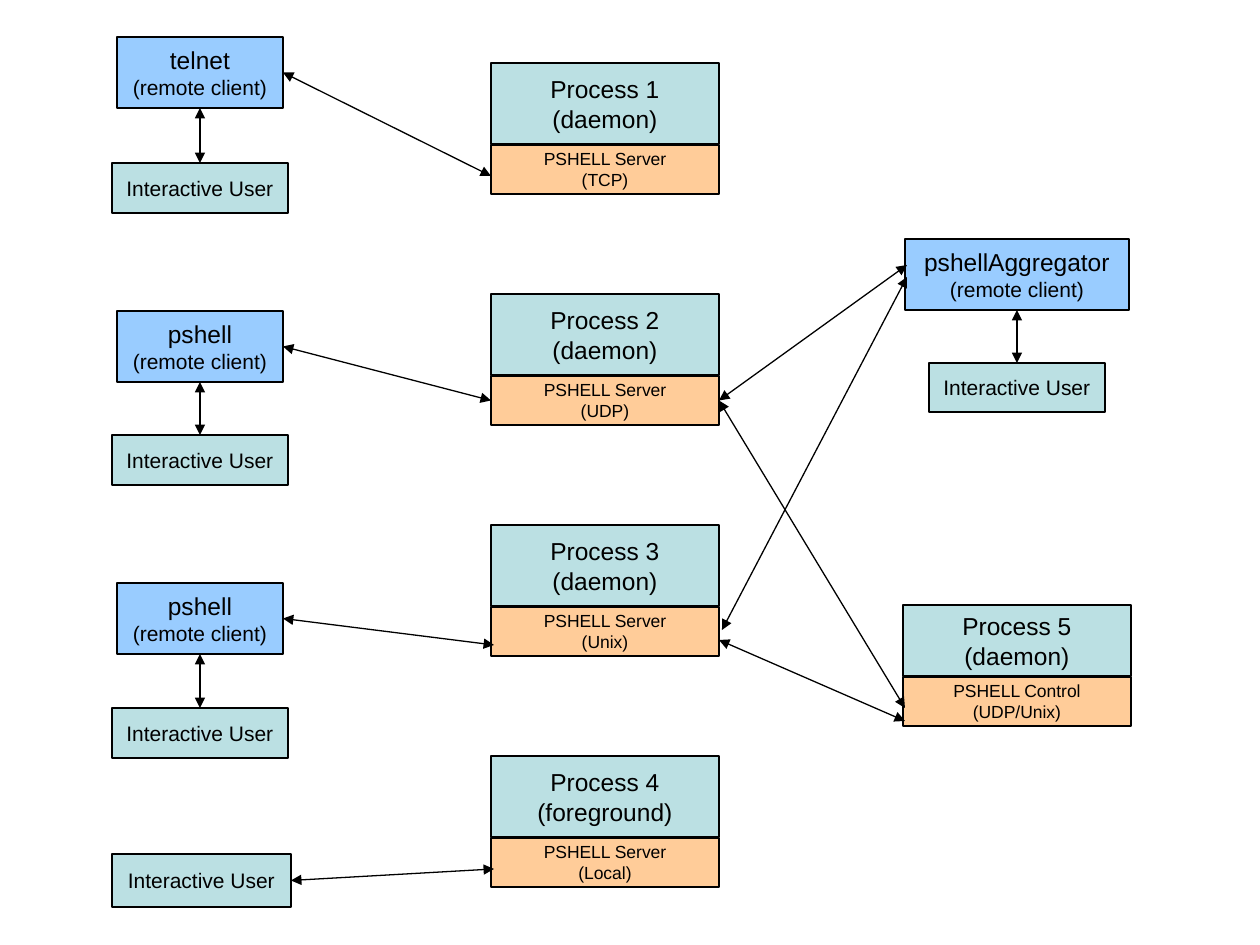
"""Build a slide of PSHELL clients, servers and the links between them."""
from lxml import etree
from pptx import Presentation
from pptx.dml.color import RGBColor
from pptx.enum.shapes import MSO_CONNECTOR, MSO_SHAPE
from pptx.enum.text import MSO_ANCHOR, PP_ALIGN
from pptx.oxml.ns import qn
from pptx.util import Emu, Pt

RECTANGLE = MSO_SHAPE.RECTANGLE
STRAIGHT = MSO_CONNECTOR.STRAIGHT
MIDDLE = MSO_ANCHOR.MIDDLE
CENTER = PP_ALIGN.CENTER
TOP, LEFT, BOTTOM, RIGHT = range(4)

TEAL = RGBColor(0xBB, 0xE0, 0xE3)
ORANGE = RGBColor(0xFF, 0xCC, 0x99)
BLUE = RGBColor(0x99, 0xCC, 0xFF)
BLACK = RGBColor(0, 0, 0)
FONT = "Arial"
SCALE = 914400 / 126

PROCESS_LEFT, PROCESS_TOP, PROCESS_STEP = 491, 63, 231
PROCESS_WIDTH, PROCESS_HEIGHT, SERVER_HEIGHT = 228, 81, 49
CLIENT_LEFT, CLIENT_WIDTH, CLIENT_HEIGHT = 117, 166, 71
USER_LEFT, USER_WIDTH, USER_HEIGHT = 112, 176, 50

PROCESSES = [
    ("Process 1", "(daemon)", "(TCP)"),
    ("Process 2", "(daemon)", "(UDP)"),
    ("Process 3", "(daemon)", "(Unix)"),
    ("Process 4", "(foreground)", "(Local)"),
]
CLIENTS = [("telnet", 37, 163), ("pshell", 311, 435), ("pshell", 583, 708)]
AGGREGATOR = (905, 239, 224, CLIENT_HEIGHT)
AGGREGATOR_USER = (929, 363, USER_WIDTH, 49)
LOCAL_USER = (USER_LEFT, 854, 179, 53)
CONTROL_PROCESS = (903, 605, 71)

LINKS = [
    (("client 1", RIGHT), (491, 176)),
    (("server 2", LEFT), ("client 2", RIGHT)),
    ((494, 645), ("client 3", RIGHT)),
    ((494, 869), ("local user", RIGHT)),
    ((905, 708), ("server 2", RIGHT)),
    ((905, 721), (719, 640)),
    ((907, 265), ("server 2", RIGHT)),
    ((907, 277), (722, 630)),
]


def px(length):
    return Emu(round(length * SCALE))


def add_box(shapes, bounds, fill, lines):
    box = shapes.add_shape(RECTANGLE, *map(px, bounds))
    box.shadow.inherit = False
    box.fill.solid()
    box.fill.fore_color.rgb = fill
    box.line.color.rgb = BLACK
    box.line.width = Pt(0.75)
    frame = box.text_frame
    frame.word_wrap = False
    frame.vertical_anchor = MIDDLE
    for index, (text, size) in enumerate(lines):
        paragraph = frame.add_paragraph() if index else frame.paragraphs[0]
        paragraph.alignment = CENTER
        run = paragraph.add_run()
        run.text = text
        run.font.name = FONT
        run.font.size = Pt(size)
        run.font.color.rgb = BLACK
    return box


def add_user(shapes, bounds):
    return add_box(shapes, bounds, TEAL, [("Interactive User", 12)])


def add_client(shapes, bounds, name):
    return add_box(shapes, bounds, BLUE, [(name, 14), ("(remote client)", 12)])


def add_process(shapes, left, top, height, name, mode, role, protocol):
    add_box(shapes, (left, top, PROCESS_WIDTH, height), TEAL,
            [(name, 14), (mode, 14)])
    return add_box(shapes, (left, top + height + 1, PROCESS_WIDTH, SERVER_HEIGHT),
                   ORANGE, [(role, 10), (protocol, 10)])


def add_arrow(shapes, start, end):
    arrow = shapes.add_connector(STRAIGHT, *map(px, (*start, *end)))
    arrow.line.color.rgb = BLACK
    arrow.line.width = Pt(0.75)
    line = arrow.line._get_or_add_ln()
    for tag in ("a:headEnd", "a:tailEnd"):
        etree.SubElement(line, qn(tag), type="triangle")
    etree.SubElement(arrow._element.spPr, qn("a:effectLst"))
    return arrow


def add_link(shapes, boxes, *ends):
    points = [(0, 0) if end[0] in boxes else end for end in ends]
    arrow = add_arrow(shapes, *points)
    for end, connect in zip(ends, (arrow.begin_connect, arrow.end_connect)):
        if end[0] in boxes:
            connect(boxes[end[0]], end[1])


def main():
    presentation = Presentation()
    presentation.slide_width = px(1260)
    presentation.slide_height = px(945)
    slide = presentation.slides.add_slide(presentation.slide_layouts[6])
    shapes = slide.shapes
    boxes = {"local user": add_user(shapes, LOCAL_USER)}

    for index, (name, mode, protocol) in enumerate(PROCESSES):
        top = PROCESS_TOP + index * PROCESS_STEP
        boxes[f"server {index + 1}"] = add_process(
            shapes, PROCESS_LEFT, top, PROCESS_HEIGHT,
            name, mode, "PSHELL Server", protocol)
    add_process(shapes, *CONTROL_PROCESS,
                "Process 5", "(daemon)", "PSHELL Control", "(UDP/Unix)")

    stations = [
        (name, (CLIENT_LEFT, client_top, CLIENT_WIDTH, CLIENT_HEIGHT),
         (USER_LEFT, user_top, USER_WIDTH, USER_HEIGHT))
        for name, client_top, user_top in CLIENTS
    ]
    stations.append(("pshellAggregator", AGGREGATOR, AGGREGATOR_USER))
    for number, (name, client_bounds, user_bounds) in enumerate(stations, 1):
        client, user = f"client {number}", f"user {number}"
        boxes[client] = add_client(shapes, client_bounds, name)
        boxes[user] = add_user(shapes, user_bounds)
        add_link(shapes, boxes, (client, BOTTOM), (user, TOP))

    for start, end in LINKS:
        add_link(shapes, boxes, start, end)
    presentation.save("out.pptx")


if __name__ == "__main__":
    main()
